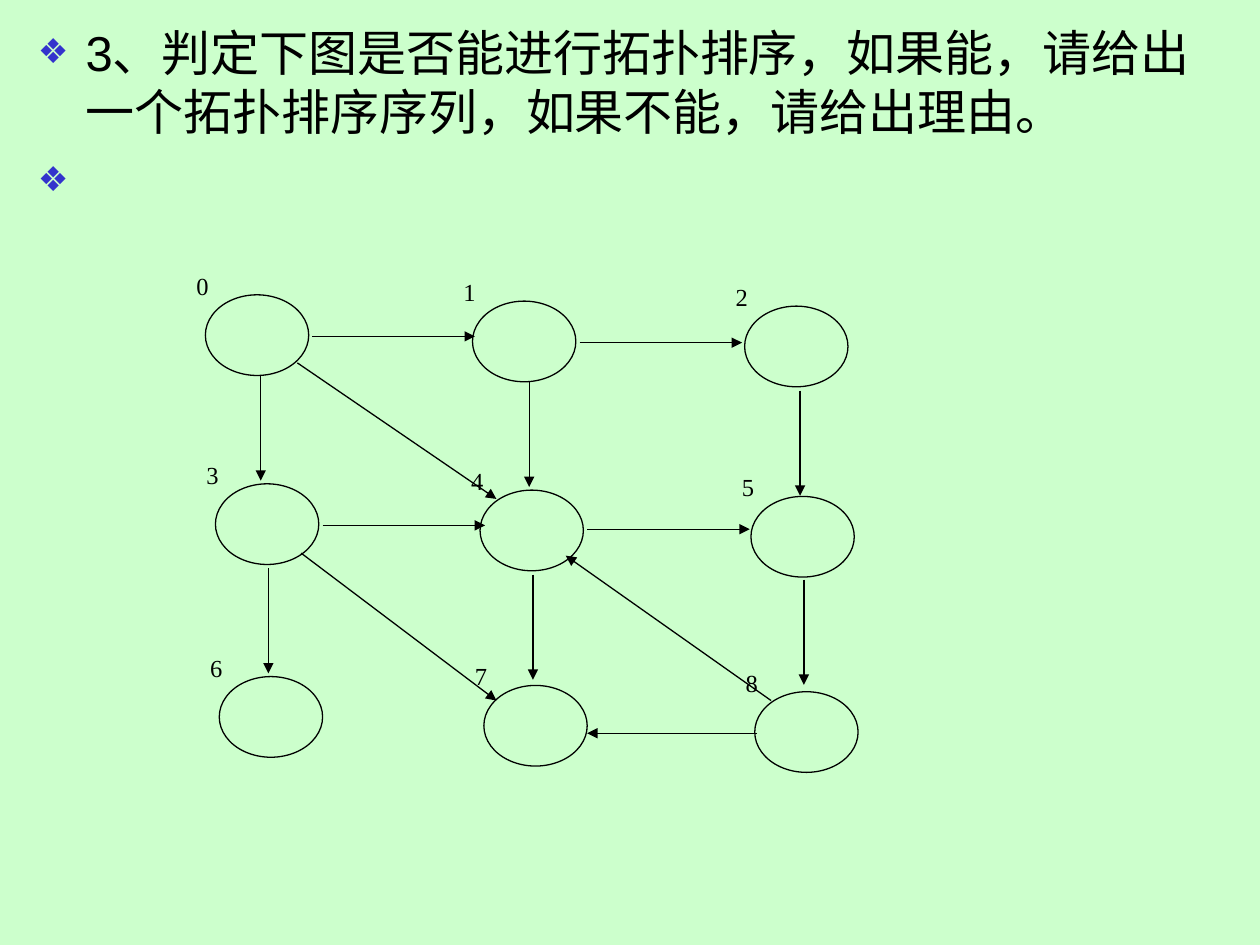
from dataclasses import dataclass

from lxml.etree import SubElement
from pptx import Presentation
from pptx.dml.color import RGBColor
from pptx.enum.shapes import MSO_CONNECTOR, MSO_SHAPE
from pptx.enum.text import MSO_ANCHOR, MSO_AUTO_SIZE, PP_ALIGN
from pptx.oxml.ns import qn
from pptx.util import Inches, Pt

COLORS = {"background": "CCFFCC", "ink": "000000", "bullet": "3333CC"}
COLUMNS, ROWS = 100, 75
NODE_SIZE = (8.2, 6.4)
LABEL_SIZE = (13.1, 11.1)
LABEL_SHIFT = (-1.7, -2.4)
ACROSS = (12.9, 0)
DOWN = (0, 8.35)

deck = Presentation()
deck.slide_width, deck.slide_height = Inches(10), Inches(7.5)


@dataclass
class Node:
    label: str
    column: float
    row: float


@dataclass
class Edge:
    column: float
    row: float
    step: tuple[float, float]


NODES = [
    Node("0", 16.3, 23.4), Node("1", 37.5, 23.9), Node("2", 59.1, 24.3),
    Node("3", 17.1, 38.4), Node("4", 38.1, 38.9), Node("5", 59.6, 39.4),
    Node("6", 17.4, 53.7), Node("7", 38.4, 54.4), Node("8", 59.9, 54.9),
]

EDGES = [
    Edge(24.8, 26.7, ACROSS), Edge(46, 27.2, ACROSS),
    Edge(25.6, 41.7, ACROSS), Edge(46.6, 42, ACROSS),
    Edge(20.7, 29.8, DOWN), Edge(42, 30.3, DOWN), Edge(63.5, 31, DOWN),
    Edge(21.3, 45.1, DOWN), Edge(42.3, 45.6, DOWN), Edge(63.8, 46, DOWN),
    Edge(60.1, 58.2, (-13.5, 0)),
    Edge(61.2, 55.6, (-16.3, -11.5)),
    Edge(23.6, 28.8, (15.8, 10.8)),
    Edge(23.9, 43.9, (15.5, 11.7)),
]


def across(columns: float) -> int:
    return round(deck.slide_width * columns / COLUMNS)


def down(rows: float) -> int:
    return round(deck.slide_height * rows / ROWS)


def area(column: float, row: float, size: tuple[float, float]) -> tuple[int, ...]:
    return across(column), down(row), across(size[0]), down(size[1])


def color(name: str) -> RGBColor:
    return RGBColor.from_string(COLORS[name])


def write(para, text: str, *, font: str, size: float, align=PP_ALIGN.LEFT) -> None:
    para.alignment = align
    span = para.add_run()
    span.text = text
    span.font.name = font
    span.font.size = Pt(size)
    span.font.color.rgb = color("ink")


def add_bullet(para) -> None:
    properties = para._p.get_or_add_pPr()
    properties.set("marL", str(Inches(0.38)))
    properties.set("indent", str(-Inches(0.38)))
    tint = SubElement(properties, qn("a:buClr"))
    SubElement(tint, qn("a:srgbClr"), val=COLORS["bullet"])
    SubElement(properties, qn("a:buSzPct"), val="70000")
    SubElement(properties, qn("a:buFont"), typeface="Arial")
    SubElement(properties, qn("a:buChar"), char="❖")


def add_question(page) -> None:
    body = page.placeholders[1]
    body.left, body.top, body.width, body.height = area(2, 1.3, (94.5, 17.3))
    frame = body.text_frame
    frame.word_wrap = True
    frame.auto_size = MSO_AUTO_SIZE.NONE
    frame.vertical_anchor = MSO_ANCHOR.TOP
    first, second = frame.paragraphs[0], frame.add_paragraph()
    for para, gap in ((first, 0), (second, 5.6)):
        add_bullet(para)
        para.space_before = Pt(gap)
    write(first, "3、判定下图是否能进行拓扑排序，如果能，请给出一个拓扑排序序列，如果不能，请给出理由。",
          font="Arial", size=28)
    write(second, " ", font="Arial", size=28, align=PP_ALIGN.JUSTIFY)


def add_node(page, node: Node) -> None:
    oval = page.shapes.add_shape(MSO_SHAPE.OVAL, *area(node.column, node.row, NODE_SIZE))
    oval.shadow.inherit = False
    oval.fill.background()
    oval.line.color.rgb = color("ink")
    oval.line.width = Pt(0.75)
    box = page.shapes.add_textbox(
        *area(node.column + LABEL_SHIFT[0], node.row + LABEL_SHIFT[1], LABEL_SIZE))
    box.text_frame.word_wrap = True
    write(box.text_frame.paragraphs[0], node.label,
          font="Times New Roman", size=14, align=PP_ALIGN.JUSTIFY)


def add_edge(page, edge: Edge) -> None:
    arrow = page.shapes.add_connector(
        MSO_CONNECTOR.STRAIGHT, across(edge.column), down(edge.row),
        across(edge.column + edge.step[0]), down(edge.row + edge.step[1]))
    arrow.line.color.rgb = color("ink")
    arrow.line.width = Pt(0.75)
    SubElement(arrow.line._get_or_add_ln(), qn("a:tailEnd"), type="triangle")
    SubElement(arrow._element.spPr, qn("a:effectLst"))


def main() -> None:
    page = deck.slides.add_slide(deck.slide_layouts[1])
    page.background.fill.solid()
    page.background.fill.fore_color.rgb = color("background")
    title = page.shapes.title._element
    title.getparent().remove(title)
    add_question(page)
    for node in NODES:
        add_node(page, node)
    for edge in EDGES:
        add_edge(page, edge)
    deck.save("out.pptx")


if __name__ == "__main__":
    main()
